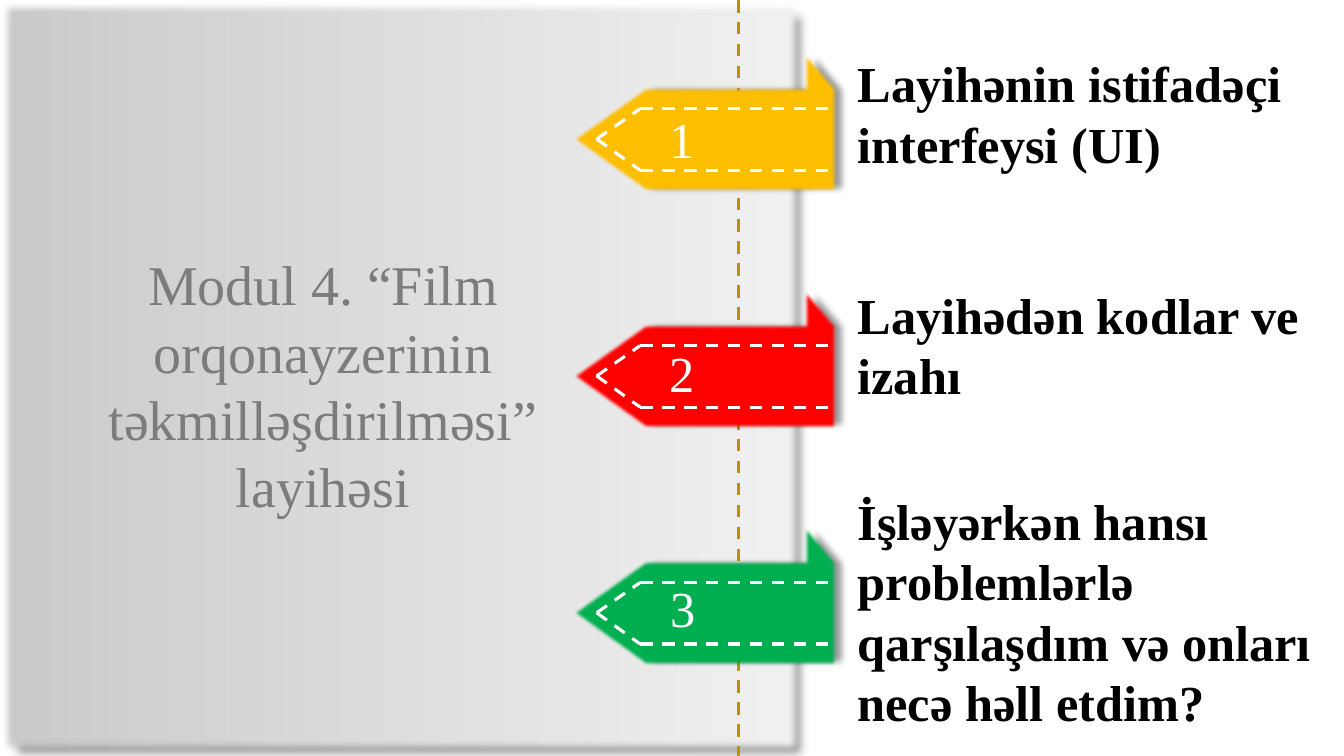
from lxml.etree import SubElement
from pptx import Presentation
from pptx.dml.color import RGBColor
from pptx.enum.dml import MSO_LINE
from pptx.enum.shapes import MSO_CONNECTOR, MSO_SHAPE
from pptx.enum.text import MSO_AUTO_SIZE, PP_ALIGN
from pptx.oxml.ns import qn
from pptx.util import Pt


def color(hex_code):
    return RGBColor.from_string(hex_code)


class SlideBuilder:
    font = "Times New Roman"
    line_width = 2.25

    def __init__(self, slide):
        self.slide = slide
        self.target = slide.shapes

    def effects(self, shape, distance, angle, soft_radius):
        shape.line.fill.background()
        shape.shadow.inherit = False
        effect_list = shape._element.spPr.find(qn("a:effectLst"))
        shadow = SubElement(effect_list, qn("a:outerShdw"), blurRad=str(Pt(4)),
                            dist=str(Pt(distance)), dir=str(angle * 60000),
                            algn="tl", rotWithShape="0")
        shade = SubElement(shadow, qn("a:srgbClr"), val=str(color("000000")))
        SubElement(shade, qn("a:alpha"), val="40000")
        SubElement(effect_list, qn("a:softEdge"), rad=str(Pt(soft_radius)))

    def gradient_panel(self, left, top, width, height, stops):
        panel = self.target.add_shape(MSO_SHAPE.RECTANGLE, Pt(left), Pt(top),
                                      Pt(width), Pt(height))
        panel.fill.gradient()
        panel.fill.gradient_angle = 180
        for stop, hex_code in zip(panel.fill.gradient_stops, stops):
            stop.color.rgb = color(hex_code)
        self.effects(panel, 8, 45, 5)

    def outline(self, points, hex_code):
        start, *rest = [(Pt(x), Pt(y)) for x, y in points]
        builder = self.target.build_freeform(*start)
        builder.add_line_segments(rest, close=True)
        ribbon = builder.convert_to_shape()
        ribbon.fill.solid()
        ribbon.fill.fore_color.rgb = color(hex_code)
        self.effects(ribbon, 6, 0, 2.5)

    def dashed_line(self, x1, y1, x2, y2, hex_code):
        stitch = self.target.add_connector(MSO_CONNECTOR.STRAIGHT, Pt(x1), Pt(y1),
                                           Pt(x2), Pt(y2))
        stitch.line.color.rgb = color(hex_code)
        stitch.line.width = Pt(self.line_width)
        stitch.line.dash_style = MSO_LINE.DASH
        SubElement(stitch._element.spPr, qn("a:effectLst"))

    def text(self, left, top, width, height, wording, size, hex_code,
             bold=False, align=PP_ALIGN.LEFT):
        box = self.target.add_textbox(Pt(left), Pt(top), Pt(width), Pt(height))
        frame = box.text_frame
        frame.word_wrap = True
        frame.auto_size = MSO_AUTO_SIZE.SHAPE_TO_FIT_TEXT
        paragraph = frame.paragraphs[0]
        paragraph.alignment = align
        run = paragraph.add_run()
        run.text = wording
        run.font.name = self.font
        run.font.size = Pt(size)
        run.font.bold = bold
        run.font.color.rgb = color(hex_code)

    def tag(self, top, number, number_left, number_top, hex_code):
        self.target = self.slide.shapes.add_group_shape().shapes
        self.outline([(573.8, top), (597.6, top + 28.1), (597.6, top + 103),
                      (459.4, top + 103), (406.8, top + 65.5),
                      (459.4, top + 28.1), (573.8, top + 28.1)], hex_code)
        middle = top + 65.5
        for edge in (top + 43.9, top + 87.8):
            self.dashed_line(457.2, edge, 596.9, edge, "FFFFFF")
            self.dashed_line(426.2, middle, 457.2, edge, "FFFFFF")
        self.text(number_left, number_top, 72.7, 51.1, number, 36, "FFFFFF")
        self.target = self.slide.shapes


def main():
    presentation = Presentation()
    presentation.slide_width = Pt(960)
    presentation.slide_height = Pt(540)
    builder = SlideBuilder(presentation.slides.add_slide(presentation.slide_layouts[6]))

    builder.gradient_panel(0, 0, 573.8, 540, ("F2F2F2", "C9C9C9"))
    builder.text(30.2, 175, 401, 200.9,
                 "Modul 4. “Film orqonayzerinin təkmilləşdirilməsi” layihəsi",
                 40, "7C7C7C", align=PP_ALIGN.CENTER)
    builder.dashed_line(527.8, 0, 527.8, 540, "BF9000")

    topics = [
        (470.9, 73.4, "FFC000", 33.8, 94.3, "Layihənin istifadəçi interfeysi (UI)"),
        (470.9, 240.5, "FF0000", 199.4, 94.3, "Layihədən kodlar ve izahı"),
        (471.6, 409, "00B050", 346.3, 225.4,
         "İşləyərkən hansı problemlərlə qarşılaşdım və onları necə həll etdim?"),
    ]
    for index, (number_left, number_top, hex_code, *_) in enumerate(topics):
        builder.tag(33.8 + 169.2 * index, str(index + 1), number_left, number_top, hex_code)
    for *_, label_top, label_height, label in topics:
        builder.text(605.5, label_top, 371.5, label_height, label, 36, "000000", bold=True)

    presentation.save("out.pptx")


if __name__ == "__main__":
    main()
